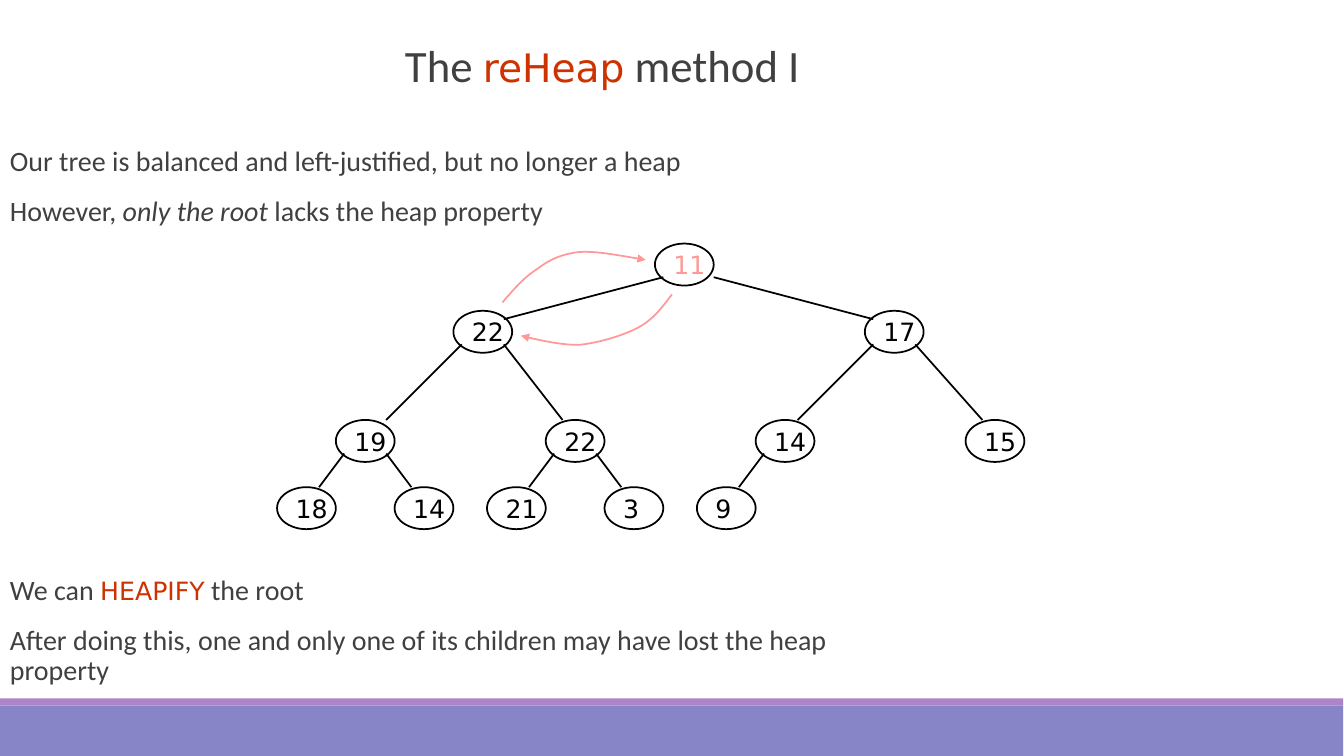
from lxml.etree import SubElement
from pptx import Presentation
from pptx.dml.color import RGBColor
from pptx.enum.shapes import MSO_CONNECTOR, MSO_SHAPE
from pptx.enum.text import MSO_ANCHOR, PP_ALIGN
from pptx.oxml.ns import qn
from pptx.util import Cm, Pt

GRAY, RED, PINK, BLACK = "404040", "CC3300", "FF9999", "000000"
SANS, MONO = "Calibri", "DejaVu Sans"

BARS = [(17.78, 1.27, "8784C7"), (17.6, 0.18, "AD84C6")]

TITLE = [[("The ", 32, SANS, GRAY, False), ("reHeap", 28, MONO, RED, False),
          (" method I", 32, SANS, GRAY, False)]]
INTRO = [
    [("Our tree is balanced and left-justified, but no longer a heap", 20, SANS, GRAY, False)],
    [("However, ", 20, SANS, GRAY, False), ("only the root", 20, SANS, GRAY, True),
     (" lacks the heap property", 20, SANS, GRAY, False)],
]
OUTCOME = [
    [("We can ", 20, SANS, GRAY, False), ("HEAPIFY", 18, MONO, RED, False),
     (" the root", 20, SANS, GRAY, False)],
    [("After doing this, one and only one of its children may have lost the heap property",
      20, SANS, GRAY, False)],
]

HEAP = [11, 22, 17, 19, 22, 14, 15, 18, 14, 21, 3, 9]
COLUMNS = [78, 54, 103, 40, 65, 90, 115, 33, 47, 58, 72, 83]
LEVEL_ROWS = [29, 37, 50, 58]
NODE_WIDTH, NODE_HEIGHT = 7, 5
EDGE_STARTS = {2: 7}
EDGE_ENDS = {1: (6, 1), 2: (1, 1), 3: (6, 0)}

SWAP_ARROWS = [
    [(12.67, 7.62), (12.95, 7.29), (13.21, 6.99), (13.54, 6.78), (13.84, 6.55),
     (14.15, 6.4), (14.61, 6.35), (15.06, 6.32), (15.67, 6.45), (16.28, 6.55)],
    [(16.94, 7.42), (16.71, 7.72), (16.48, 8.05), (16.08, 8.26), (15.7, 8.46),
     (15.09, 8.64), (14.61, 8.69), (14.12, 8.71), (13.34, 8.51), (13.13, 8.46)],
]
CURVE_STEPS = 10


def color(value):
    return RGBColor.from_string(value)


def grid(twelfths):
    return Cm(twelfths * 2.54 / 12)


def add_run(paragraph, text, size, font, value, italic=False):
    run = paragraph.add_run()
    run.text = text
    run.font.size = Pt(size)
    run.font.name = font
    run.font.italic = italic
    run.font.color.rgb = color(value)


def add_text(slide, box, paragraphs, spacing, anchor):
    frame = slide.shapes.add_textbox(*[Cm(length) for length in box]).text_frame
    frame.word_wrap = True
    frame.vertical_anchor = anchor
    frame.margin_right = 0
    for index, runs in enumerate(paragraphs):
        paragraph = frame.paragraphs[0] if index == 0 else frame.add_paragraph()
        paragraph.line_spacing = spacing
        paragraph.space_before = Pt(14 if index else 0)
        for run in runs:
            add_run(paragraph, *run)


def set_line(shape, value):
    shape.line.color.rgb = color(value)
    shape.line.width = Pt(1.25)


def add_bar(slide, width, top, height, fill):
    bar = slide.shapes.add_shape(MSO_SHAPE.RECTANGLE, 0, Cm(top), width, Cm(height))
    bar.shadow.inherit = False
    bar.fill.solid()
    bar.fill.fore_color.rgb = color(fill)
    bar.line.fill.background()


def node_position(index):
    return COLUMNS[index], LEVEL_ROWS[(index + 1).bit_length() - 1]


def add_node(slide, index):
    left, top = node_position(index)
    node = slide.shapes.add_shape(MSO_SHAPE.OVAL, grid(left), grid(top),
                                  grid(NODE_WIDTH), grid(NODE_HEIGHT))
    node.shadow.inherit = False
    node.fill.background()
    set_line(node, BLACK)
    frame = node.text_frame
    frame.word_wrap = False
    frame.vertical_anchor = MSO_ANCHOR.MIDDLE
    paragraph = frame.paragraphs[0]
    paragraph.alignment = PP_ALIGN.LEFT
    add_run(paragraph, str(HEAP[index]), 18, MONO, BLACK if index else PINK)


def add_edge(slide, child):
    parent_left, parent_top = node_position((child - 1) // 2)
    child_left, child_top = node_position(child)
    is_left = child % 2 == 1
    start = EDGE_STARTS.get(child, 1 if is_left else 6)
    end_x, end_y = EDGE_ENDS.get(child, (5, 0) if is_left else (2, 0))
    edge = slide.shapes.add_connector(
        MSO_CONNECTOR.STRAIGHT, grid(parent_left + start), grid(parent_top + 4),
        grid(child_left + end_x), grid(child_top + end_y))
    set_line(edge, BLACK)
    SubElement(edge._element.spPr, qn("a:effectLst"))


def curve_points(controls):
    points = []
    for first in range(0, len(controls) - 1, 3):
        segment = controls[first:first + 4]
        for step in range(1, CURVE_STEPS + 1):
            t = step / CURVE_STEPS
            weights = ((1 - t) ** 3, 3 * t * (1 - t) ** 2, 3 * t * t * (1 - t), t ** 3)
            points.append(tuple(Cm(sum(w * p[axis] for w, p in zip(weights, segment)))
                                for axis in (0, 1)))
    return points


def add_swap_arrow(slide, controls):
    start_x, start_y = controls[0]
    builder = slide.shapes.build_freeform(Cm(start_x), Cm(start_y))
    builder.add_line_segments(curve_points(controls), close=False)
    arrow = builder.convert_to_shape()
    arrow.shadow.inherit = False
    arrow.fill.background()
    set_line(arrow, PINK)
    SubElement(arrow._element.spPr.find(qn("a:ln")), qn("a:tailEnd"), type="triangle")


def main():
    presentation = Presentation()
    presentation.slide_width = Cm(33.88)
    presentation.slide_height = Cm(19.05)
    slide = presentation.slides.add_slide(presentation.slide_layouts[6])
    for bar in BARS:
        add_bar(slide, Cm(33.86), *bar)
    add_text(slide, (9.96, 0.43, 23.92, 2), TITLE, 0.85, MSO_ANCHOR.BOTTOM)
    add_text(slide, (0, 3.6, 21.59, 2.74), INTRO, 0.9, MSO_ANCHOR.TOP)
    add_text(slide, (0, 14.4, 21.59, 4.01), OUTCOME, 0.9, MSO_ANCHOR.TOP)
    for index in range(len(HEAP)):
        add_node(slide, index)
    for child in range(1, len(HEAP)):
        add_edge(slide, child)
    for controls in SWAP_ARROWS:
        add_swap_arrow(slide, controls)
    presentation.save("out.pptx")


if __name__ == "__main__":
    main()
